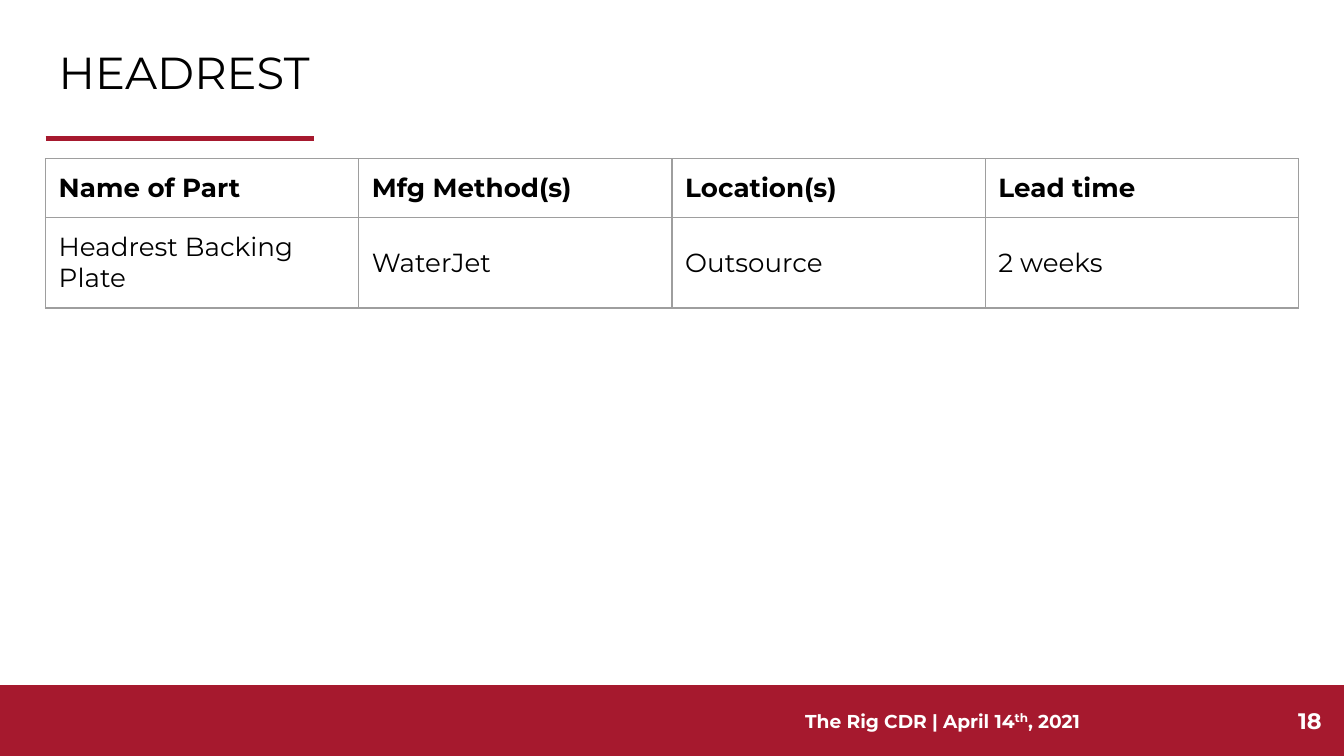
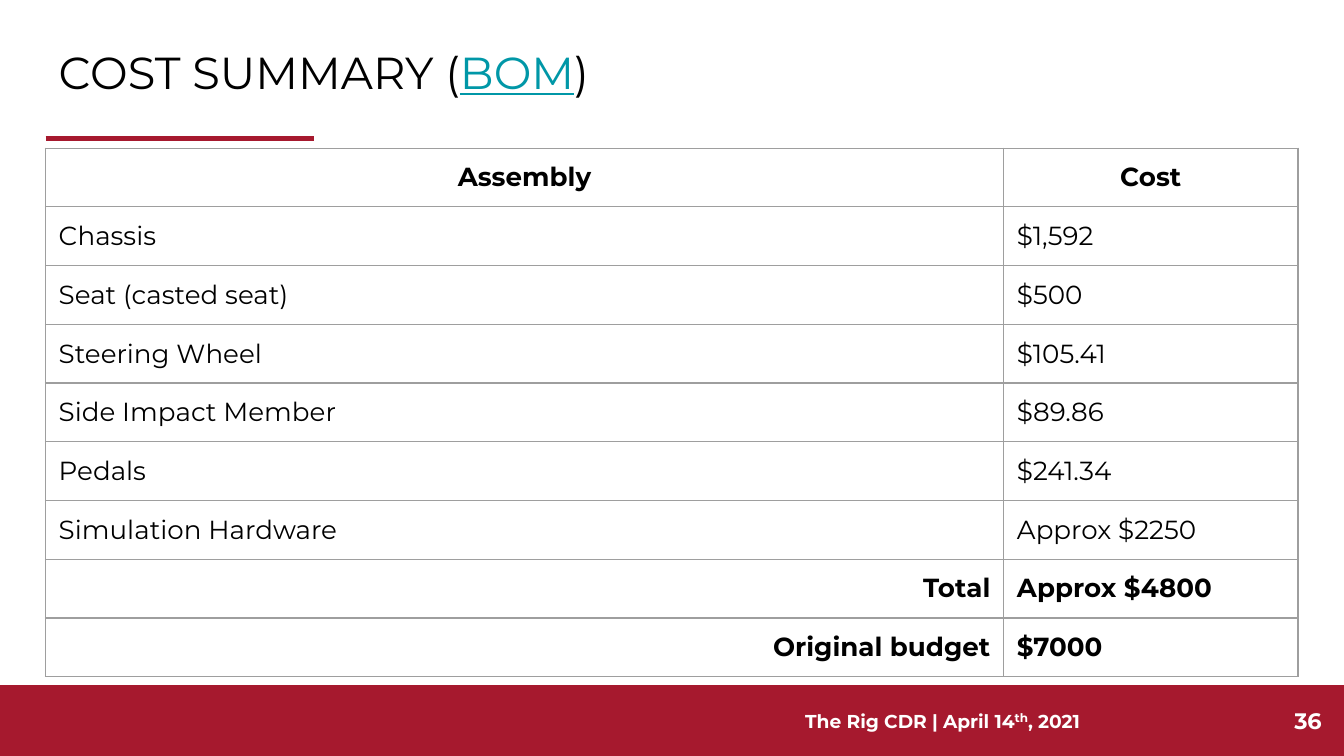
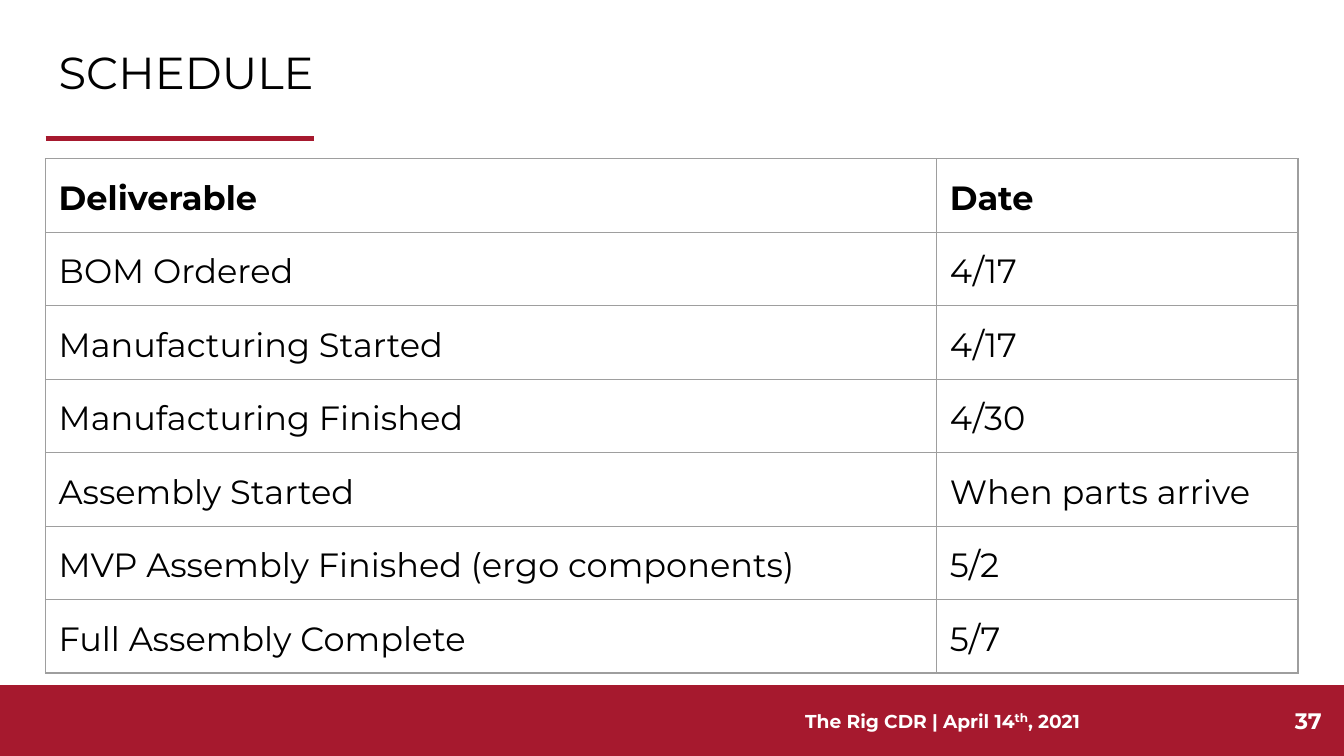
"""Build three slides of a design review: headrest parts, cost summary and schedule."""
from lxml.etree import SubElement as Sub
from pptx import Presentation
from pptx.dml.color import RGBColor as Rgb
from pptx.enum.shapes import MSO_CONNECTOR as Link, MSO_SHAPE as Form
from pptx.enum.text import MSO_ANCHOR as Anchor, PP_ALIGN as Align
from pptx.oxml.ns import qn
from pptx.util import Cm, Pt

HUES = {"red": "A6192E", "white": "FFFFFF", "black": "000000", "teal": "0097A7", "grey": "9E9E9E"}
FONT = "Montserrat"
LEFT, WIDTH = 0.86, 23.67
BAND, DEEP = 12.95, 1.34
PAD = Cm(0.25)


def write(par, text, size=14, hue="black", bold=False, under=False, lift=0):
    run = par.add_run()
    run.text = text
    font = run.font
    font.name, font.size, font.bold = FONT, Pt(size), bold
    font.color.rgb = Rgb.from_string(HUES[hue])
    if under:
        font.underline = True
    if lift:
        run._r.get_or_add_rPr().set("baseline", str(lift * 1000))


def add_box(slide, left, top, width, height, align):
    frame = slide.shapes.add_textbox(Cm(left), Cm(top), Cm(width), Cm(height)).text_frame
    frame.word_wrap = True
    frame.vertical_anchor = Anchor.MIDDLE
    frame.margin_left = frame.margin_right = frame.margin_top = frame.margin_bottom = PAD
    par = frame.paragraphs[0]
    par.alignment = align
    return par


PAGES = [
    {
        "title": [("HEADREST", {})], "page": "18", "top": 3.0, "size": 14,
        "cols": [5.92] * 4, "highs": [1.11, 1.71], "bold": {0}, "place": {},
        "rows": [
            ("Name of Part", "Mfg Method(s)", "Location(s)", "Lead time"),
            ("Headrest Backing Plate", "WaterJet", "Outsource", "2 weeks"),
        ],
    },
    {
        "title": [("COST SUMMARY (", {}), ("BOM", {"hue": "teal", "under": True}), (")", {})],
        "page": "36", "top": 2.8, "size": 14,
        "cols": [18.11, 5.56], "highs": [1.11] * 9, "bold": {0, 7, 8},
        "place": {(0, 0): Align.CENTER, (0, 1): Align.CENTER,
                  (7, 0): Align.RIGHT, (8, 0): Align.RIGHT},
        "rows": [
            ("Assembly", "Cost"),
            ("Chassis", "$1,592"),
            ("Seat (casted seat)", "$500"),
            ("Steering Wheel", "$105.41"),
            ("Side Impact Member", "$89.86"),
            ("Pedals", "$241.34"),
            ("Simulation Hardware", "Approx $2250"),
            ("Total", "Approx $4800"),
            ("Original budget", "$7000"),
        ],
    },
    {
        "title": [("SCHEDULE", {})], "page": "37", "top": 3.0, "size": 18,
        "cols": [16.84, 6.83], "highs": [1.39] * 7, "bold": {0}, "place": {}, "pitch": 1.14,
        "rows": [
            ("Deliverable", "Date"),
            ("BOM Ordered", "4/17"),
            ("Manufacturing Started", "4/17"),
            ("Manufacturing Finished", "4/30"),
            ("Assembly Started", "When parts arrive"),
            ("MVP Assembly Finished (ergo components)", "5/2"),
            ("Full Assembly Complete", "5/7"),
        ],
    },
]

deck = Presentation()
deck.slide_width, deck.slide_height = Cm(25.4), Cm(14.29)

for page in PAGES:
    slide = deck.slides.add_slide(deck.slide_layouts[6])

    band = slide.shapes.add_shape(Form.RECTANGLE, 0, Cm(BAND), deck.slide_width, Cm(DEEP))
    band.shadow.inherit = False
    band.fill.solid()
    band.fill.fore_color.rgb = Rgb.from_string(HUES["red"])
    band.line.fill.background()

    foot = add_box(slide, 11.1, BAND, 13.43, DEEP, Align.CENTER)
    for text, size, lift in [("The Rig CDR | April 14", 10, 0), ("th", 11, 30), (", 2021", 10, 0)]:
        write(foot, text, size=size, hue="white", bold=True, lift=lift)

    rule = slide.shapes.add_connector(Link.STRAIGHT, Cm(LEFT), Cm(2.62), Cm(5.94), Cm(2.62))
    rule.line.color.rgb = Rgb.from_string(HUES["red"])
    rule.line.width = Pt(3)
    Sub(rule._element.spPr, qn("a:effectLst"))

    title = add_box(slide, LEFT, 0.56, WIDTH, 1.6, Align.LEFT)
    for text, look in page["title"]:
        write(title, text, size=24, **look)

    count = add_box(slide, 23.55, BAND, 1.68, DEEP, Align.RIGHT)
    write(count, page["page"], size=12, hue="white", bold=True)

    rows, cols, highs = page["rows"], page["cols"], page["highs"]
    grid = slide.shapes.add_table(len(rows), len(cols), Cm(LEFT), Cm(page["top"]),
                                  Cm(sum(cols)), Cm(sum(highs))).table
    grid.first_row = grid.horz_banding = False
    for col, width in zip(grid.columns, cols):
        col.width = Cm(width)
    for r, texts in enumerate(rows):
        grid.rows[r].height = Cm(highs[r])
        for c, text in enumerate(texts):
            cell = grid.cell(r, c)
            cell.vertical_anchor = Anchor.MIDDLE
            cell.margin_left = cell.margin_right = cell.margin_top = cell.margin_bottom = PAD
            for side in ("lnL", "lnR", "lnT", "lnB"):
                edge = Sub(cell._tc.get_or_add_tcPr(), qn(f"a:{side}"), w=str(Pt(0.75)))
                Sub(Sub(edge, qn("a:solidFill")), qn("a:srgbClr"), val=HUES["grey"])
            cell.fill.background()
            par = cell.text_frame.paragraphs[0]
            par.alignment = page["place"].get((r, c), Align.LEFT)
            if "pitch" in page:
                par.line_spacing = page["pitch"]
            write(par, text, size=page["size"], bold=r in page["bold"])

deck.save("out.pptx")
